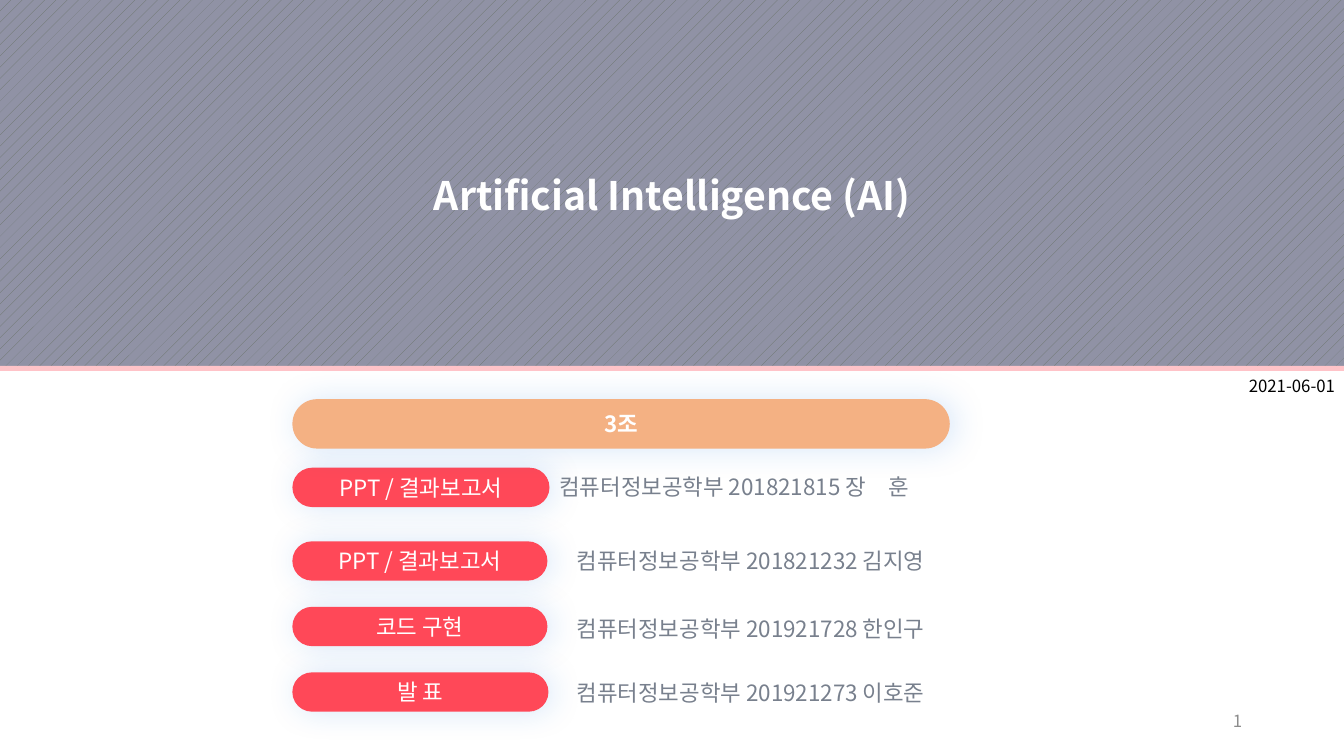
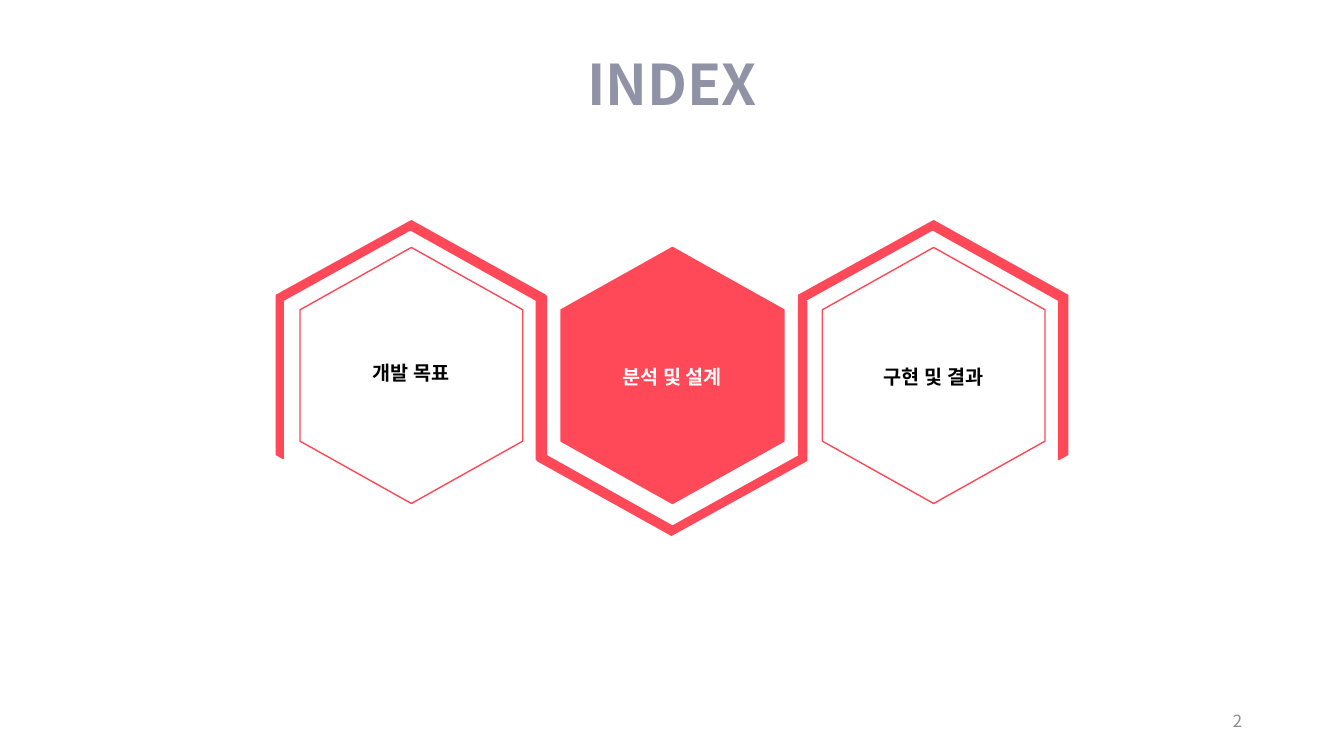
from lxml import etree
from pptx import Presentation
from pptx.dml.color import RGBColor
from pptx.enum.dml import MSO_PATTERN
from pptx.enum.shapes import MSO_SHAPE
from pptx.enum.text import MSO_ANCHOR, MSO_AUTO_SIZE, PP_ALIGN
from pptx.oxml.ns import qn
from pptx.util import Inches, Pt

RECT, PILL, HEX = MSO_SHAPE.RECTANGLE, MSO_SHAPE.ROUNDED_RECTANGLE, MSO_SHAPE.HEXAGON
LEFT, MID, RIGHT = PP_ALIGN.LEFT, PP_ALIGN.CENTER, PP_ALIGN.RIGHT
TOP, CENTER = MSO_ANCHOR.TOP, MSO_ANCHOR.MIDDLE
DOTS, FIXED = MSO_PATTERN.PERCENT_10, MSO_AUTO_SIZE.NONE

FONT = "Noto Sans CJK KR"
HUES = {
    "red": "FF4858", "pink": "FFC3C8", "peach": "F4B183", "slate": "9092A5",
    "moss": "687267", "text": "78808D", "gray": "8C8C8C", "blue": "1A73DE",
    "white": "FFFFFF", "black": "000000",
}
RGB = {name: RGBColor.from_string(code) for name, code in HUES.items()}


def write(shape, text, size, hue, align=MID, bold=False, gap=1.0, anchor=CENTER):
    frame = shape.text_frame
    form = {"word_wrap": True, "auto_size": FIXED, "vertical_anchor": anchor}
    for key, val in form.items():
        setattr(frame, key, val)
    para = frame.paragraphs[0]
    para.alignment, para.line_spacing = align, gap
    run = para.add_run()
    run.text = text
    for key, val in {"name": FONT, "size": Pt(size), "bold": bold}.items():
        setattr(run.font, key, val)
    run.font.color.rgb = RGB[hue]
    # Korean glyphs take the East Asian font
    for props in shape.element.iter(qn("a:rPr")):
        etree.SubElement(props, qn("a:ea"), typeface=FONT)


def paint(shape, hue, edge=None, glow=False):
    shape.shadow.inherit = False
    shape.fill.solid()
    shape.fill.fore_color.rgb = RGB[hue]
    if edge:
        shape.line.color.rgb = RGB[edge]
        shape.line.width = Pt(1)
    else:
        shape.line.fill.background()
    if glow:
        list_el = shape.element.find(".//" + qn("a:effectLst"))
        cast = etree.SubElement(list_el, qn("a:outerShdw"), blurRad=str(Pt(23)),
                                dist=str(Pt(3)), dir="0", algn="ctr", rotWithShape="0")
        tint = etree.SubElement(cast, qn("a:srgbClr"), val=HUES["blue"])
        etree.SubElement(tint, qn("a:alpha"), val="17000")


deck = Presentation()
deck.slide_width, deck.slide_height = Inches(13.33), Inches(7.5)

# Titles and page numbers
heads = [
    ("Artificial Intelligence (AI)", (0, 0, 13.33, 3.63), 28, "white"),
    ("INDEX", (3.42, 0.1, 6.49, 1.11), 40, "slate"),
]
for num, (text, box, size, hue) in enumerate(heads, 1):
    slide = deck.slides.add_slide(deck.slide_layouts[5])
    title = slide.shapes.title
    for key, val in zip(("left", "top", "width", "height"), box):
        setattr(title, key, Inches(val))
    write(title, text, size, hue, bold=True, gap=1.5)
    page = slide.shapes.add_textbox(*map(Inches, (9.42, 6.95, 3, 0.4)))
    write(page, str(num), 12, "gray", RIGHT)
    field = page.element.find(".//" + qn("a:r"))
    field.tag = qn("a:fld")
    field.set("id", "{B6F15528-21DE-4FAA-801E-634DDDAF4B2B}")
    field.set("type", "slidenum")

cover, index = deck.slides

# Cover: hatched band, rule and date
band = cover.shapes.title.fill
band.patterned()
band.pattern = DOTS
band.fore_color.rgb, band.back_color.rgb = RGB["moss"], RGB["slate"]
rule = cover.shapes.add_shape(RECT, *map(Inches, (0, 3.63, 13.33, 0.05)))
paint(rule, "pink")
date = cover.shapes.add_textbox(*map(Inches, (8.2, 3.68, 5.14, 0.3)))
write(date, "2021-06-01", 12, "black", RIGHT)

# Cover: team and roles
pills = [
    ("PPT / 결과보고서", 4.64, 2.55, 0.39, "red"),
    ("PPT / 결과보고서", 5.37, 2.53, 0.39, "red"),
    ("코드 구현", 6.02, 2.53, 0.39, "red"),
    ("발 표", 6.67, 2.54, 0.39, "red"),
    ("3조", 3.96, 6.52, 0.49, "peach"),
]
for text, top, width, height, hue in pills:
    pill = cover.shapes.add_shape(PILL, *map(Inches, (2.9, top, width, height)))
    pill.adjustments[0] = 0.5
    paint(pill, hue, glow=True)
    write(pill, text, 16, "white", bold=hue == "peach")

# Cover: members
staff = [
    ("201821815 장　훈", 5.45, 4.64, LEFT),
    ("201821232 김지영", 5.47, 5.38, MID),
    ("201921728 한인구", 5.47, 6.05, MID),
    ("201921273 이호준", 5.47, 6.69, MID),
]
for text, left, top, align in staff:
    label = cover.shapes.add_textbox(*map(Inches, (left, top, 3.95, 0.37)))
    write(label, "컴퓨터정보공학부 " + text, 16, "text", align, anchor=TOP)

# Index: one bracket outline, turned half round for the middle step
bracket = [
    (4.08, 2.19), (5.41, 2.93), (5.41, 4.51), (5.32, 4.56), (5.32, 2.98),
    (4.07, 2.28), (2.81, 2.98), (2.81, 4.55), (2.74, 4.51), (2.74, 2.93),
]
steps = [
    ("개발 목표", 3.41, "white", "black"),
    ("분석 및 설계", 3.45, "red", "white"),
    ("구현 및 결과", 3.45, "white", "black"),
]
PITCH = 2.59
for col, (text, top, fill, ink) in enumerate(steps):
    shift = col * PITCH
    if col == 1:
        dots = [(10.74 - x, 7.5 - y) for x, y in bracket]
    else:
        dots = [(x + shift, y) for x, y in bracket]
    dots = [(Inches(x), Inches(y)) for x, y in dots]
    pen = index.shapes.build_freeform(*dots[0])
    pen.add_line_segments(dots[1:], close=True)
    paint(pen.convert_to_shape(), "red", "red")

    cell = index.shapes.add_shape(HEX, *map(Inches, (2.81 + shift, 2.62, 2.54, 2.21)))
    cell.adjustments[0] = 0.28
    cell.rotation = 270
    paint(cell, fill, "red")
    label = index.shapes.add_textbox(*map(Inches, (3.08 + shift, top, 2, 0.41)))
    write(label, text, 14, ink, bold=True, gap=1.5, anchor=TOP)

deck.save("out.pptx")
